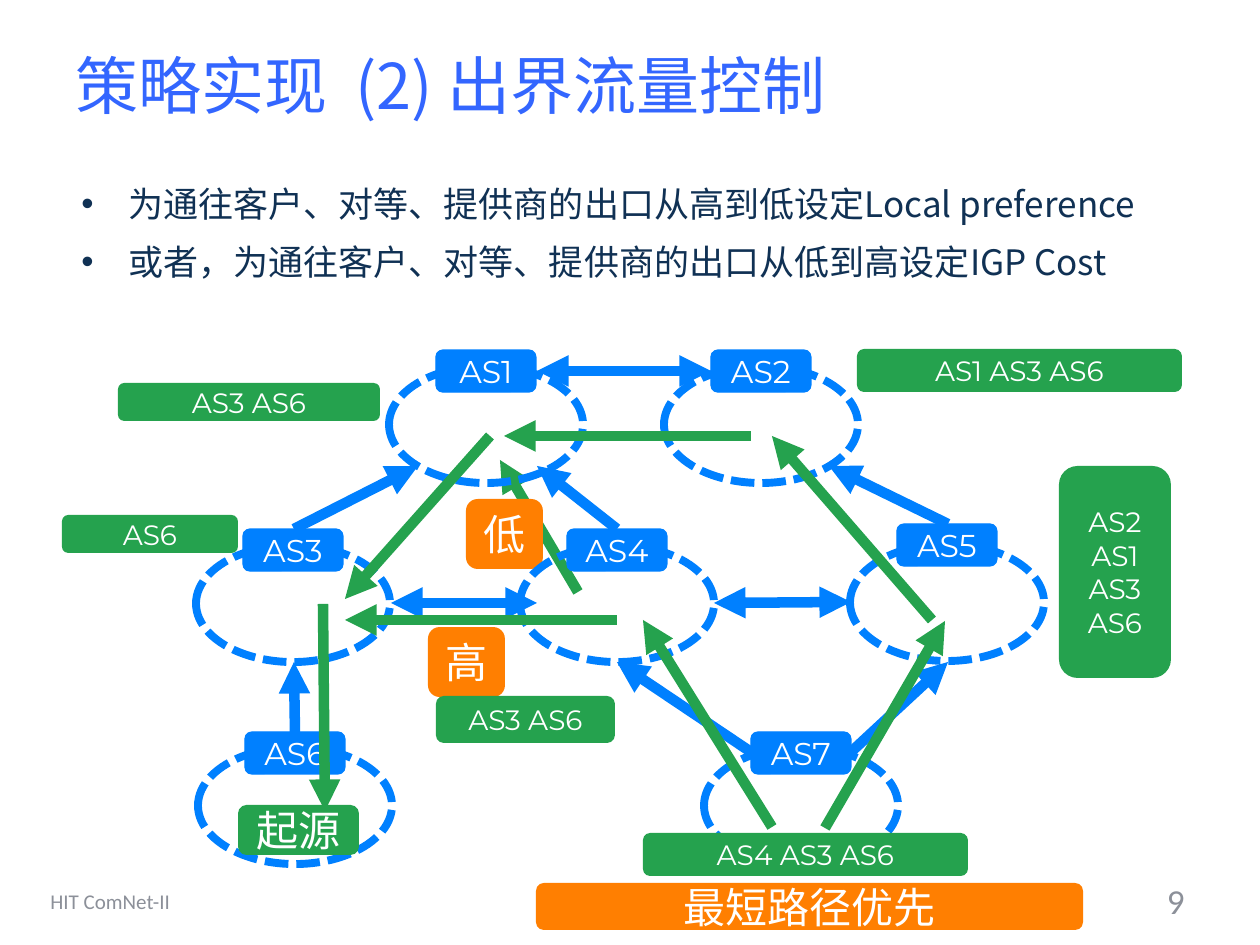
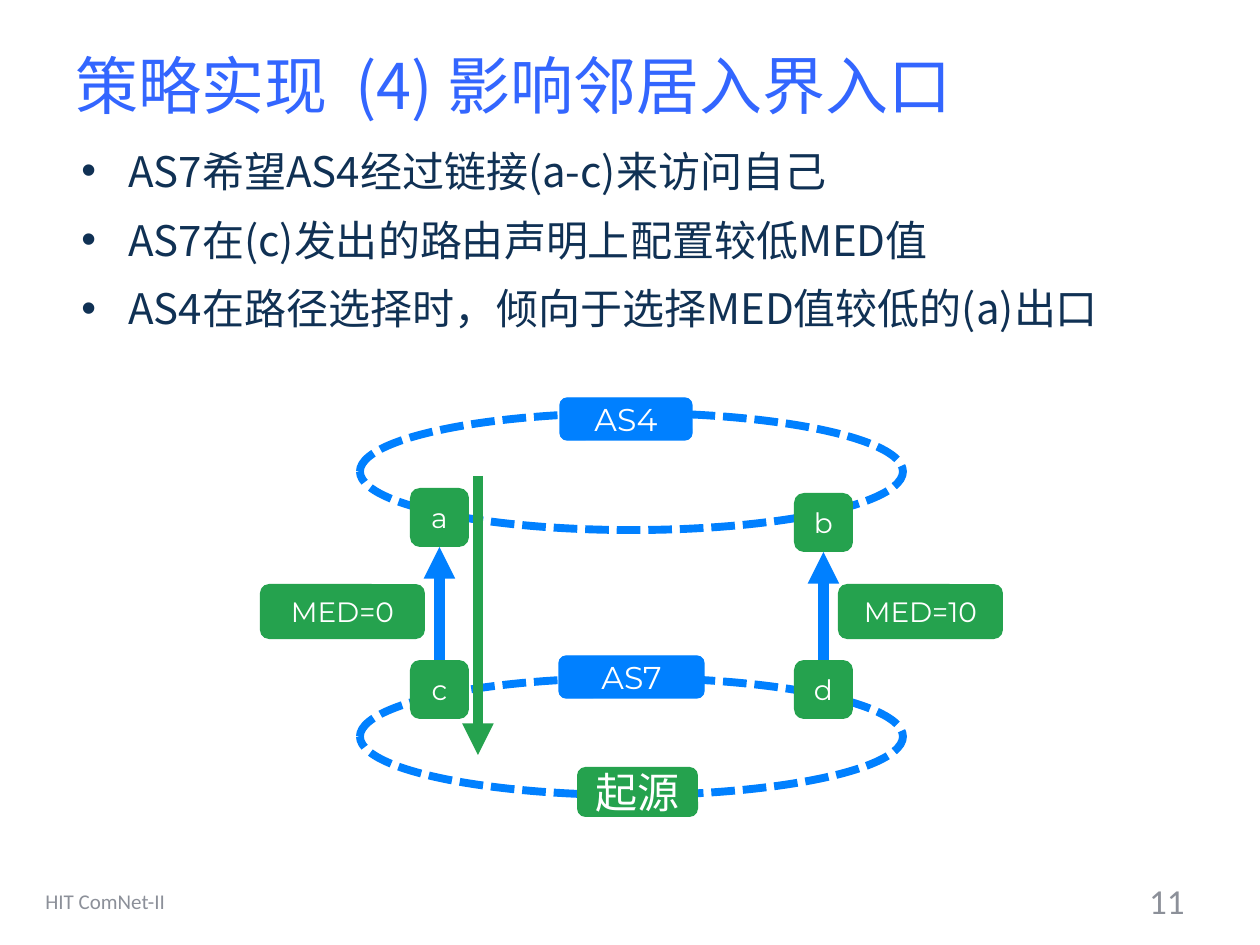
import pptx
import pptx.util
import pptx.dml.color
import pptx.enum.dml
import pptx.enum.shapes
import pptx.enum.text
import pptx.oxml
import pptx.oxml.ns

RGB = pptx.dml.color.RGBColor
SHAPE = pptx.enum.shapes.MSO_SHAPE
ALIGN = pptx.enum.text.PP_ALIGN
ANCHOR = pptx.enum.text.MSO_ANCHOR
Pt = pptx.util.Pt

BLUE = RGB(0x00, 0x80, 0xFF)
GREEN = RGB(0x25, 0xA2, 0x4E)
ORANGE = RGB(0xFF, 0x7F, 0x01)
WHITE = RGB(0xFF, 0xFF, 0xFF)
TITLE = RGB(0x33, 0x66, 0xFF)
BODY = RGB(0x10, 0x31, 0x54)
GREY = RGB(0x8C, 0x90, 0x99)

CJK, LABEL, FOOT = "Noto Sans CJK SC", "Montserrat", "Calibri"
SCALE = 914400 / 126  # EMU per pixel


def px(n):
    """Turn pixels into EMU."""
    return round(n * SCALE)


def inside(box, x, y, w, h):
    """Move an area given relative to box onto the slide."""
    return box[0] + x, box[1] + y, w, h


def child(parent, tag, **attrs):
    """Append a DrawingML element to parent."""
    el = pptx.oxml.parse_xml("<a:%s %s/>" % (tag, pptx.oxml.ns.nsdecls("a")))
    for name, value in attrs.items():
        el.set(name, value)
    parent.append(el)
    return el


def style(p, text, size, font, color, align):
    """Fill one paragraph and set its font."""
    r = p.add_run()
    r.text = text
    p.alignment = align
    p.font.size = Pt(size)
    p.font.name = font
    p.font.color.rgb = color
    child(p.font._element, "ea", typeface=font)


def add_text(s, box, text, size, font, color, align=ALIGN.LEFT):
    """Add a one-line text box, centred vertically."""
    tf = s.shapes.add_textbox(*map(px, box)).text_frame
    tf.word_wrap = True
    tf.vertical_anchor = ANCHOR.MIDDLE
    style(tf.paragraphs[0], text, size, font, color, align)


def add_bullets(s, box, lines, size):
    """Add the bulleted body text."""
    tf = s.shapes.add_textbox(*map(px, box)).text_frame
    tf.word_wrap = True
    for i, line in enumerate(lines):
        p = tf.add_paragraph() if i else tf.paragraphs[0]
        p.line_spacing = 1.2
        p.space_before = Pt(size * 0.2)
        style(p, line, size, CJK, BODY, ALIGN.LEFT)
        pPr = p._p.get_or_add_pPr()
        pPr.set("marL", str(px(47)))
        pPr.set("indent", str(px(-47)))
        defaults = pPr.find(pptx.oxml.ns.qn("a:defRPr"))
        defaults.addprevious(child(pPr, "buFont", typeface="Arial"))
        defaults.addprevious(child(pPr, "buChar", char="•"))


def add_tag(s, box, text, color=GREEN, size=16, font=LABEL):
    """Add a filled rounded label with white centred text."""
    sp = s.shapes.add_shape(SHAPE.ROUNDED_RECTANGLE, *map(px, box))
    sp.shadow.inherit = False
    sp.fill.solid()
    sp.fill.fore_color.rgb = color
    sp.line.fill.background()
    tf = sp.text_frame
    tf.word_wrap = True
    tf.vertical_anchor = ANCHOR.MIDDLE
    style(tf.paragraphs[0], text, size, font, WHITE, ALIGN.CENTER)
    return sp


def add_as(s, box, name, label_w=100, label_x=47, rise=17):
    """Add an autonomous system: a dashed ellipse with its name on top."""
    sp = s.shapes.add_shape(SHAPE.OVAL, *map(px, box))
    sp.shadow.inherit = False
    sp.fill.background()
    sp.line.color.rgb = BLUE
    sp.line.width = Pt(4.5)
    sp.line.dash_style = pptx.enum.dml.MSO_LINE.SQUARE_DOT
    label = add_tag(s, inside(box, label_x, -rise, label_w, 42), name, BLUE, 18)
    label.line.color.rgb = BLUE
    label.line.width = Pt(0.75)


def add_arrow(s, box, start, end, color, both=False):
    """Add a thick arrow from start to end, both relative to box."""
    x, y = box[:2]
    sp = s.shapes.add_connector(
        pptx.enum.shapes.MSO_CONNECTOR.STRAIGHT,
        px(x + start[0]), px(y + start[1]), px(x + end[0]), px(y + end[1]))
    sp.line.color.rgb = color
    sp.line.width = Pt(6)
    ln = sp.line._get_or_add_ln()
    if both:
        child(ln, "headEnd", type="triangle")
    child(ln, "tailEnd", type="triangle")
    child(sp._element.spPr, "effectLst")


def add_frame(prs, title, number, footer_x):
    """Add a slide with its title, footer and page number."""
    s = prs.slides.add_slide(prs.slide_layouts[6])
    add_text(s, (63, 5, 1134, 158), title, 36, CJK, TITLE)
    add_text(s, (footer_x, 876, 399, 50), "HIT ComNet-II", 12, FOOT, GREY)
    add_text(s, (903, 876, 294, 50), number, 20, FOOT, GREY, ALIGN.RIGHT)
    return s


def draw_outbound(s, box):
    """Draw seven systems, their links and the chosen outbound routes."""
    add_arrow(s, box, (518, 252), (440, 120), GREEN)
    for x, y, text in ((368, 287, "高"), (406, 159, "低")):
        add_tag(s, inside(box, x, y, 77, 70), text, ORANGE, 24, CJK)

    systems = (("AS2", 604, 26, 16), ("AS1", 329, 26, 16), ("AS3", 136, 205, 16),
               ("AS4", 460, 205, 16), ("AS5", 790, 204, 20),
               ("AS6", 138, 407, 15), ("AS7", 644, 407, 15))
    for name, x, y, rise in systems:
        add_as(s, inside(box, x, y, 194, 117), name, rise=rise)

    to_provider = (((235, 392), (234, 322)), ((691, 412), (557, 322)),
                   ((791, 412), (888, 322)), ((888, 184), (769, 126)),
                   ((557, 189), (477, 126)), ((234, 189), (358, 126)))
    for start, end in to_provider:
        add_arrow(s, box, start, end, BLUE)
    peers = (((477, 31), (651, 31)), ((331, 263), (477, 263)),
             ((654, 263), (791, 262)))
    for start, end in peers:
        add_arrow(s, box, start, end, BLUE, both=True)

    add_tag(s, inside(box, 178, 465, 121, 50), "起源", GREEN, 24, CJK)
    routes = (((263, 264), (265, 471)), ((430, 96), (285, 259)),
              ((557, 280), (285, 280)), ((691, 96), (444, 96)),
              ((712, 487), (583, 280)), ((872, 280), (712, 96)))
    for start, end in routes:
        add_arrow(s, box, start, end, GREEN)

    as_paths = (("AS6", 2, 175, 176, 38), ("AS3 AS6", 58, 43, 262, 38),
                ("AS1 AS3 AS6", 797, 9, 325, 43),
                ("AS2 AS1 AS3 AS6", 999, 126, 112, 212),
                ("AS3 AS6", 376, 356, 179, 47),
                ("AS4 AS3 AS6", 583, 493, 325, 43))
    for text, *area in as_paths:
        add_tag(s, inside(box, *area), text)
    add_tag(s, inside(box, 476, 543, 547, 47), "最短路径优先", ORANGE, 24, CJK)
    add_arrow(s, box, (765, 488), (885, 281), GREEN)


def draw_inbound(s, box):
    """Draw two systems joined by two links with different MED values."""
    add_as(s, inside(box, 100, 16, 543, 117), "AS4", 132, 200, 15)
    add_as(s, inside(box, 100, 281, 543, 117), "AS7", 145, 199, 22)
    side, lower = 59, 263
    links = ((150, 91, "a", "c", 0, "MED=0"), (534, 96, "b", "d", 578, "MED=10"))
    for x, upper, *_ in links:
        mid = x + side / 2
        add_arrow(s, box, (mid, lower), (mid, upper + side), BLUE)
    add_arrow(s, box, (218, 79), (218, 358), GREEN)
    add_tag(s, inside(box, 317, 370, 121, 50), "起源", GREEN, 24, CJK)
    for x, upper, top, bottom, med_x, med in links:
        add_tag(s, inside(box, x, upper, side, side), top)
        add_tag(s, inside(box, x, lower, side, side), bottom)
        add_tag(s, inside(box, med_x, 187, 165, 55), med)


prs = pptx.Presentation()
prs.slide_width, prs.slide_height = px(1260), px(945)

s = add_frame(prs, "策略实现  (2) 出界流量控制", "9", 38)
add_bullets(s, (69, 168, 1134, 121), (
    "为通往客户、对等、提供商的出口从高到低设定Local preference",
    "或者，为通往客户、对等、提供商的出口从低到高设定IGP Cost"), 20)
draw_outbound(s, (60, 340, 1124, 590))

s = add_frame(prs, "策略实现  (4) 影响邻居入界入口", "11", 33)
add_bullets(s, (69, 129, 1134, 121), (
    "AS7希望AS4经过链接(a-c)来访问自己",
    "AS7在(c)发出的路由声明上配置较低MED值",
    "AS4在路径选择时，倾向于选择MED值较低的(a)出口"), 24)
draw_inbound(s, (260, 397, 743, 421))

prs.save("out.pptx")
